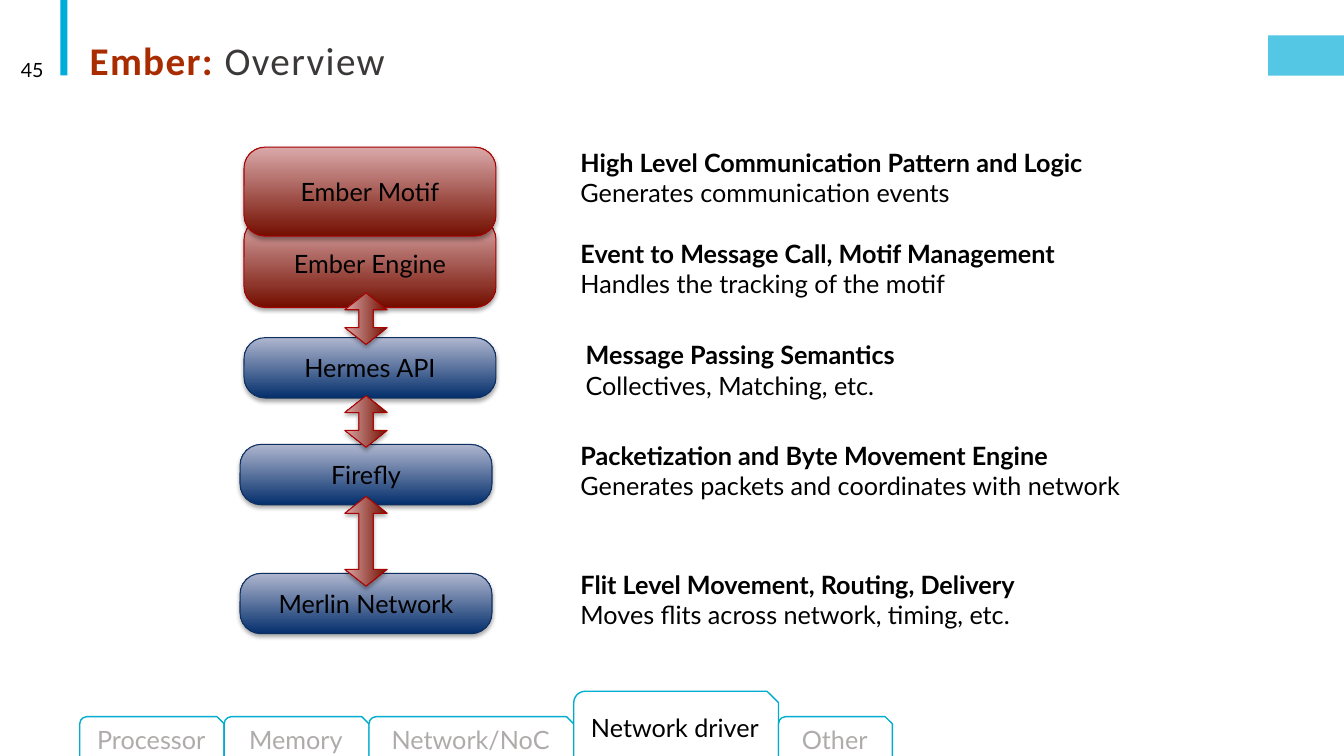
from lxml import etree
from pptx import Presentation
from pptx.dml.color import RGBColor
from pptx.enum.shapes import MSO_SHAPE as Shape
from pptx.enum.text import MSO_ANCHOR as Anchor, PP_ALIGN as Align
from pptx.oxml.ns import qn
from pptx.util import Cm, Pt

COLORS = {
    "accent": "00ACD9", "tab line": "00ADD0", "white": "FFFFFF",
    "black": "000000", "muted": "AFABAB", "title": "3B3838", "ember": "A92C00",
}
# Gradient from bottom to top, then outline
THEMES = {
    "red": ("730E00", "DAA9A9", "AA0000"),
    "blue": ("042F6C", "AFB6CF", "0E3060"),
}
# Label, theme, left, top, height; the motif lies over the engine
LAYERS = [
    ("Ember Engine", "red", 0.1, 1.8, 2.24),
    ("Hermes API", "blue", 0.1, 4.8, 1.52),
    ("Firefly", "blue", 0, 7.49, 1.52),
    ("Merlin Network", "blue", 0, 10.74, 1.52),
    ("Ember Motif", "red", 0.1, 0, 2.24),
]
# Middle, length
LINKS = [(4.32, 1.3), (6.91, 1.3), (9.93, 2.26)]
# Indent, top, heading, detail
NOTES = [
    (0, 0, "High Level Communication Pattern and Logic",
     "Generates communication events"),
    (0, 2.29, "Event to Message Call, Motif Management",
     "Handles the tracking of the motif"),
    (0.13, 4.85, "Message Passing Semantics", "Collectives, Matching, etc."),
    (0, 7.39, "Packetization and Byte Movement Engine",
     "Generates packets and coordinates with network"),
    (0, 10.64, "Flit Level Movement, Routing, Delivery",
     "Moves flits across network, timing, etc."),
]
TABS = [("Processor", 3.64), ("Memory", 3.65), ("Network/NoC", 5.16),
        ("Network driver", 5.16), ("Other", 2.87)]
ACTIVE_TAB = "Network driver"


def rgb(name):
    return RGBColor.from_string(COLORS[name])


def style(font, size=18, color="black", name="Lato", bold=False):
    font.size, font.name, font.bold = Pt(size), name, bold
    font.color.rgb = rgb(color)


def set_margins(frame, margin):
    frame.margin_left = frame.margin_right = Cm(margin)
    frame.margin_top = frame.margin_bottom = Cm(margin)


def add_flat(slide, kind, box, fill):
    """Add a shape with a plain fill and neither outline nor shadow."""
    shape = slide.shapes.add_shape(kind, *map(Cm, box))
    shape.shadow.inherit = False
    shape.fill.solid()
    shape.fill.fore_color.rgb = rgb(fill)
    shape.line.fill.background()
    return shape


def add_glossy(slide, kind, box, theme):
    """Add a shape with a vertical gradient and a soft shadow below."""
    bottom, top, outline = THEMES[theme]
    shape = slide.shapes.add_shape(kind, *map(Cm, box))
    shape.fill.gradient()
    shape.fill.gradient_angle = 90
    for stop, color, position in zip(shape.fill.gradient_stops, (bottom, top), (0, 1)):
        stop.color.rgb = RGBColor.from_string(color)
        stop.position = position
    shape.line.color.rgb = RGBColor.from_string(outline)
    shape.line.width = Pt(0.75)
    shape.shadow.inherit = False
    effects = shape.element.spPr.find(qn("a:effectLst"))
    shadow = etree.SubElement(effects, qn("a:outerShdw"), blurRad=str(Pt(3)),
                              dist=str(Pt(1.8)), dir="5400000", rotWithShape="0")
    shade = etree.SubElement(shadow, qn("a:srgbClr"), val=COLORS["black"])
    etree.SubElement(shade, qn("a:alpha"), val="35000")
    return shape


def add_header(slide, left, top, width):
    add_flat(slide, Shape.RECTANGLE, (left + 1.52, top, 0.18, 1.9), "accent")
    marker = add_flat(slide, Shape.RECTANGLE,
                      (left + width - 1.91, top + 0.89, 1.91, 1.02), "accent")
    color = marker.element.spPr.find(qn("a:solidFill"))[0]
    etree.SubElement(color, qn("a:alpha"), val="67000")

    title = slide.shapes.add_textbox(Cm(left + 2.01), Cm(top + 0.66), Cm(27.94), Cm(1.57))
    title.text_frame.word_wrap = True
    title.text_frame.vertical_anchor = Anchor.BOTTOM
    heading = title.text_frame.paragraphs[0]
    heading.line_spacing = 0.85
    for text, tone, bold in (("Ember: ", "ember", True), ("Overview", "title", False)):
        run = heading.add_run()
        run.text = text
        style(run.font, 28, tone, "Calibri", bold)
        run.font._element.set("spc", "100")

    number = slide.shapes.add_textbox(Cm(left + 0.18), Cm(top + 1.24), Cm(1.17), Cm(1.02))
    number.text_frame.text = "45"
    number.text_frame.vertical_anchor = Anchor.MIDDLE
    number.text_frame.word_wrap = True
    number.text_frame.paragraphs[0].alignment = Align.RIGHT
    style(number.text_frame.paragraphs[0].runs[0].font, 14)


def add_stack(slide, left, top, width):
    """Draw the software layers and the arrows that link them."""
    for label, theme, indent, offset, height in LAYERS:
        layer = add_glossy(slide, Shape.ROUNDED_RECTANGLE,
                           (left + indent, top + offset, width, height), theme)
        layer.adjustments[0] = 0.53 / height
        frame = layer.text_frame
        frame.text = label
        frame.vertical_anchor = Anchor.MIDDLE
        set_margins(frame, 0.13)
        frame.paragraphs[0].alignment = Align.CENTER
        style(frame.paragraphs[0].runs[0].font)

    thickness = 1.07
    for middle, length in LINKS:
        arrow = add_glossy(slide, Shape.LEFT_RIGHT_ARROW,
                           (left + (width - length) / 2, top + middle - thickness / 2,
                            length, thickness), "red")
        arrow.adjustments[0], arrow.adjustments[1] = 0.34, 0.397
        arrow.rotation = 270


def add_notes(slide, left, top, width):
    """Place the heading and detail that describe each layer."""
    for indent, offset, heading, detail in NOTES:
        note = slide.shapes.add_textbox(Cm(left + indent), Cm(top + offset),
                                        Cm(width), Cm(1.55))
        frame = note.text_frame
        frame.word_wrap = True
        set_margins(frame, 0)
        frame.text = f"{heading}\n{detail}"
        for paragraph, bold in zip(frame.paragraphs, (True, False)):
            style(paragraph.runs[0].font, bold=bold)


def add_tabs(slide, left, bottom):
    for label, width in TABS:
        active = label == ACTIVE_TAB
        height = 1.73 if active else 1.09
        tab = add_flat(slide, Shape.SNIP_ROUND_RECTANGLE,
                       (left, bottom - height, width, height), "white")
        tab.line.color.rgb = rgb("tab line")
        tab.line.width = Pt(1)
        frame = tab.text_frame
        frame.text = label
        frame.word_wrap = False
        frame.vertical_anchor = Anchor.MIDDLE
        frame.paragraphs[0].alignment = Align.CENTER
        style(frame.paragraphs[0].runs[0].font, color="black" if active else "muted")
        left += width


def main():
    deck = Presentation()
    deck.slide_width, deck.slide_height = Cm(33.87), Cm(19.05)
    slide = deck.slides.add_slide(deck.slide_layouts[6])
    add_header(slide, 0, 0, 33.87)
    add_stack(slide, 6.05, 3.71, 6.35)
    add_notes(slide, 14.63, 3.71, 14.1)
    add_tabs(slide, 2.01, 19.15)
    deck.save("out.pptx")


if __name__ == "__main__":
    main()
